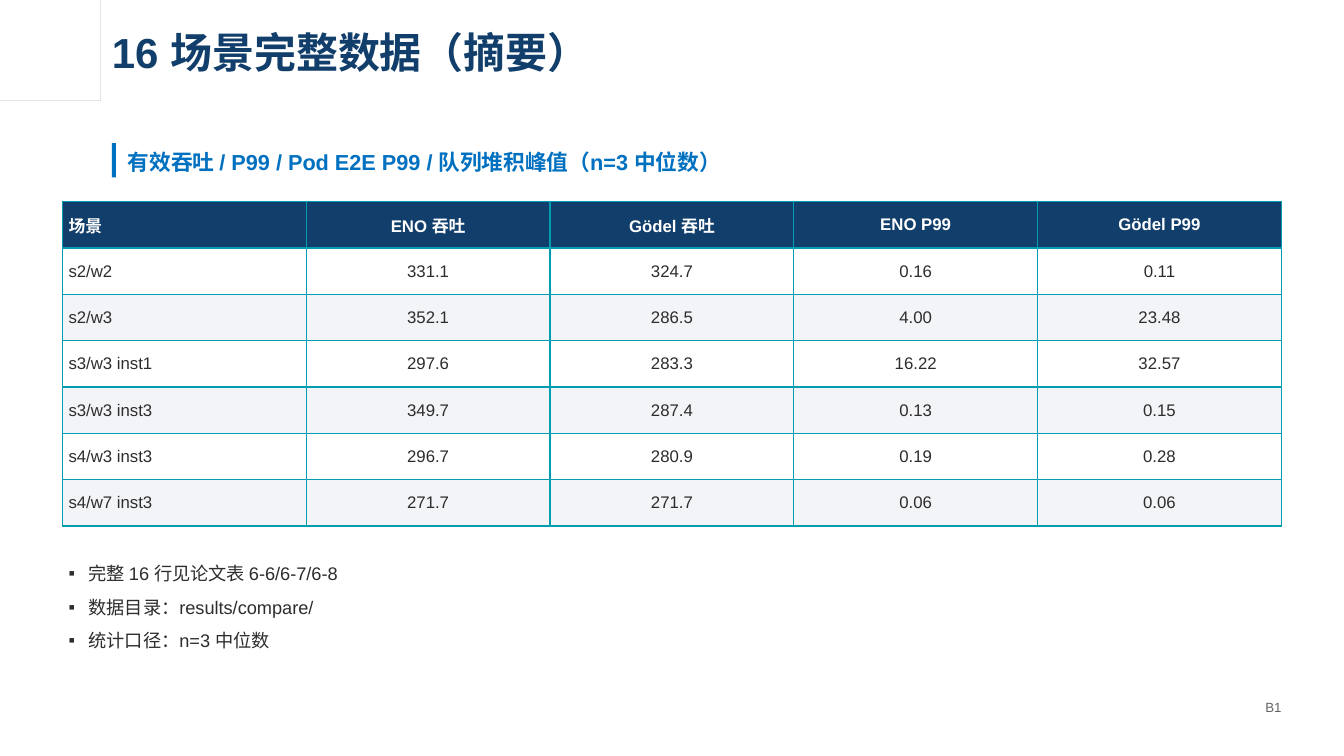
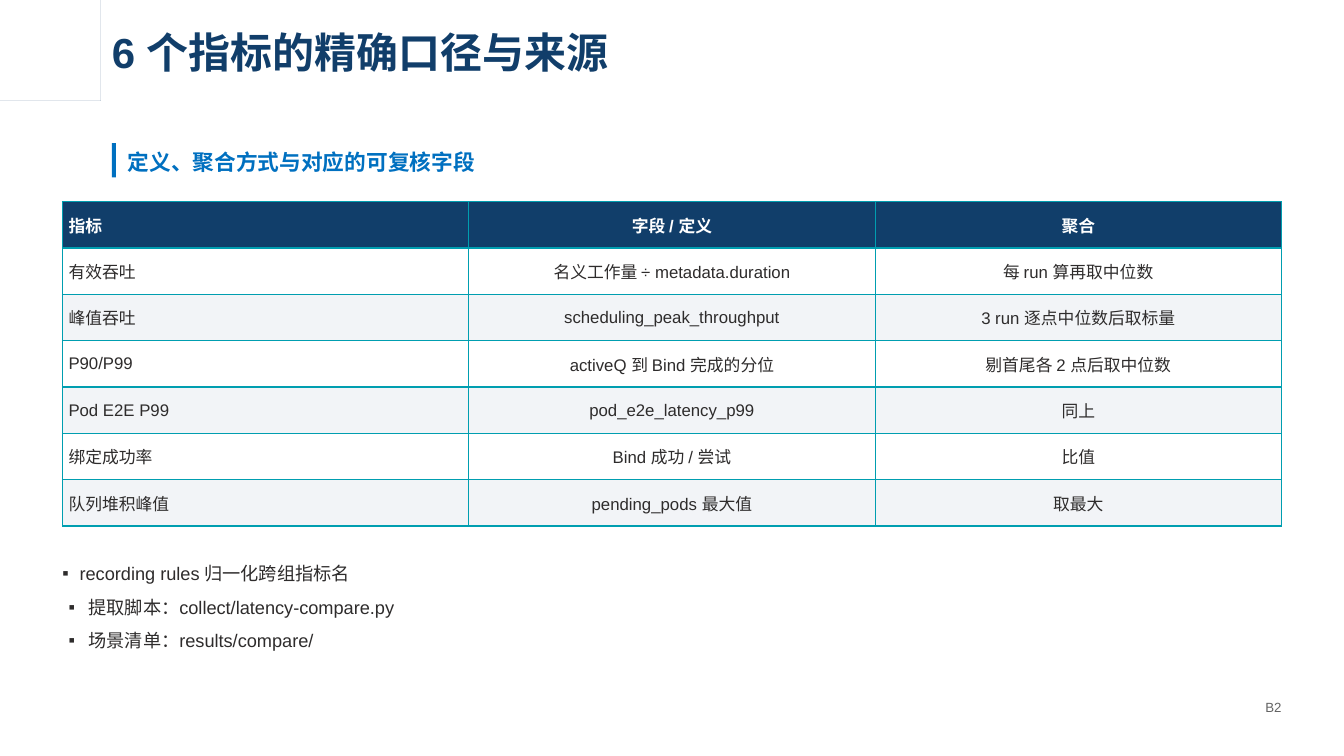
import math

from lxml import etree
from pptx import Presentation
from pptx.dml.color import RGBColor
from pptx.enum import shapes, text
from pptx.oxml import ns
from pptx.util import Inches, Pt

HUES = {"navy": "113E6A", "blue": "0070C0", "teal": "009EB0", "ink": "2E2C2C",
        "gray": "636363", "pale": "F2F4F7", "white": "FFFFFF"}
FONT = "Arial"
LEFT, WIDE, ROW = 0.62, 12.1, 0.46

# Icon: three dots as centre x, centre y, radius, joined by thin links
LOW, MID, TOP = (0.58, 0.75, 0.11), (0.9, 0.5, 0.09), (0.66, 0.31, 0.07)
HALF, STEPS = 0.015, 24

PAGES = [
    {"mark": "B1",
     "title": "16 场景完整数据（摘要）",
     "lead": "有效吞吐 / P99 / Pod E2E P99 / 队列堆积峰值（n=3 中位数）",
     "rows": [
         ["场景", "ENO 吞吐", "Gödel 吞吐", "ENO P99", "Gödel P99"],
         ["s2/w2", "331.1", "324.7", "0.16", "0.11"],
         ["s2/w3", "352.1", "286.5", "4.00", "23.48"],
         ["s3/w3 inst1", "297.6", "283.3", "16.22", "32.57"],
         ["s3/w3 inst3", "349.7", "287.4", "0.13", "0.15"],
         ["s4/w3 inst3", "296.7", "280.9", "0.19", "0.28"],
         ["s4/w7 inst3", "271.7", "271.7", "0.06", "0.06"]],
     "list": ["完整 16 行见论文表 6-6/6-7/6-8",
              "数据目录：results/compare/",
              "统计口径：n=3 中位数"]},
    {"mark": "B2",
     "title": "6 个指标的精确口径与来源",
     "lead": "定义、聚合方式与对应的可复核字段",
     "rows": [
         ["指标", "字段 / 定义", "聚合"],
         ["有效吞吐", "名义工作量 ÷ metadata.duration", "每 run 算再取中位数"],
         ["峰值吞吐", "scheduling_peak_throughput", "3 run 逐点中位数后取标量"],
         ["P90/P99", "activeQ 到 Bind 完成的分位", "剔首尾各 2 点后取中位数"],
         ["Pod E2E P99", "pod_e2e_latency_p99", "同上"],
         ["绑定成功率", "Bind 成功 / 尝试", "比值"],
         ["队列堆积峰值", "pending_pods 最大值", "取最大"]],
     "list": ["recording rules 归一化跨组指标名",
              "提取脚本：collect/latency-compare.py",
              "场景清单：results/compare/"]},
]


def color(name):
    return RGBColor.from_string(HUES[name])


def write(shape, box, lines, size, hue, bold=False, side="LEFT", anchor="TOP"):
    """Place a text shape and fill it; several lines become a bullet list."""
    shape.left, shape.top, shape.width, shape.height = map(Inches, box)
    frame = shape.text_frame
    frame.word_wrap = True
    frame.auto_size = text.MSO_AUTO_SIZE.NONE
    frame.margin_left = frame.margin_right = 0
    frame.margin_top = frame.margin_bottom = 0
    frame.vertical_anchor = text.MSO_ANCHOR[anchor]
    frame.text = "\n".join(lines)
    for i, para in enumerate(frame.paragraphs):
        para.alignment = text.PP_ALIGN[side]
        if len(lines) > 1:
            # Lines that open with a Latin letter hang closer to the edge
            start, hang = (0.17, 0.17) if lines[i][0].isascii() else (0.26, 0.2)
            props = para._p.get_or_add_pPr()
            props.set("marL", str(Inches(start)))
            props.set("indent", str(Inches(-hang)))
            etree.SubElement(props, ns.qn("a:buChar")).set("char", "▪")
            para.line_spacing = 1.15
        para.space_before = Pt(6 if i else 0)
        font = para.font
        font.name, font.size, font.bold = FONT, Pt(size), bold
        font.color.rgb = color(hue)


# Walk around the icon: an arc on each dot from the last link to the next
outline = []
trip = [LOW, MID, TOP, MID]
for i, (x, y, r) in enumerate(trip):
    back, ahead = trip[i - 1], trip[(i + 1) % 4]
    gap = math.asin(HALF / r)
    first = math.atan2(back[1] - y, back[0] - x) + gap
    last = math.atan2(ahead[1] - y, ahead[0] - x) - gap
    sweep = (last - first) % math.tau
    for k in range(STEPS + 1):
        turn = first + sweep * k / STEPS
        outline.append((x + r * math.cos(turn), y + r * math.sin(turn)))

deck = Presentation()
deck.slide_width, deck.slide_height = Inches(13.34), Inches(7.5)

for page in PAGES:
    slide = deck.slides.add_slide(deck.slide_layouts[1])
    parts = slide.shapes

    pen = parts.build_freeform(*outline[0], scale=Inches(1))
    pen.add_line_segments(outline[1:], close=True)
    icon = pen.convert_to_shape()
    bar = parts.add_shape(shapes.MSO_SHAPE.RECTANGLE,
                          *map(Inches, (1.11, 1.42, 0.04, 0.34)))
    for solid, hue in ((icon, "navy"), (bar, "blue")):
        solid.shadow.inherit = False
        solid.fill.solid()
        solid.fill.fore_color.rgb = color(hue)
        solid.line.fill.background()

    write(parts.title, (1.11, 0.17, 8.75, 0.68), [page["title"]], 30, "navy",
          bold=True, anchor="MIDDLE")
    write(parts.add_textbox(0, 0, 0, 0), (1.27, 1.39, 11.2, 0.42),
          [page["lead"]], 15.5, "blue", bold=True, anchor="MIDDLE")

    rows = page["rows"]
    table = parts.add_table(len(rows), len(rows[0]), Inches(LEFT), Inches(2),
                            Inches(WIDE), Inches(ROW * len(rows))).table
    for i, row in enumerate(rows):
        head = i == 0
        for j, value in enumerate(row):
            cell = table.cell(i, j)
            cell.text = value
            cell.vertical_anchor = text.MSO_ANCHOR.MIDDLE
            cell.margin_left = cell.margin_right = Inches(0.06)
            cell.margin_top = cell.margin_bottom = Inches(0.02)
            props = cell._tc.get_or_add_tcPr()
            for edge in ("lnL", "lnR", "lnT", "lnB"):
                line = etree.SubElement(props, ns.qn("a:" + edge))
                line.set("w", str(Pt(1)))
                paint = etree.SubElement(line, ns.qn("a:solidFill"))
                etree.SubElement(paint, ns.qn("a:srgbClr")).set("val", HUES["teal"])
            cell.fill.solid()
            cell.fill.fore_color.rgb = color(
                "navy" if head else "white" if i % 2 else "pale")
            para = cell.text_frame.paragraphs[0]
            para.alignment = text.PP_ALIGN.CENTER if j else text.PP_ALIGN.LEFT
            font = para.font
            font.name, font.size, font.bold = FONT, Pt(12), head
            font.color.rgb = color("white" if head else "ink")

    write(slide.placeholders[1], (LEFT, 5.55, 12, 1.05), page["list"], 13, "ink")
    write(parts.add_textbox(0, 0, 0, 0), (11.79, 6.94, 0.93, 0.24),
          [page["mark"]], 9.5, "gray", side="RIGHT")

deck.save("out.pptx")
